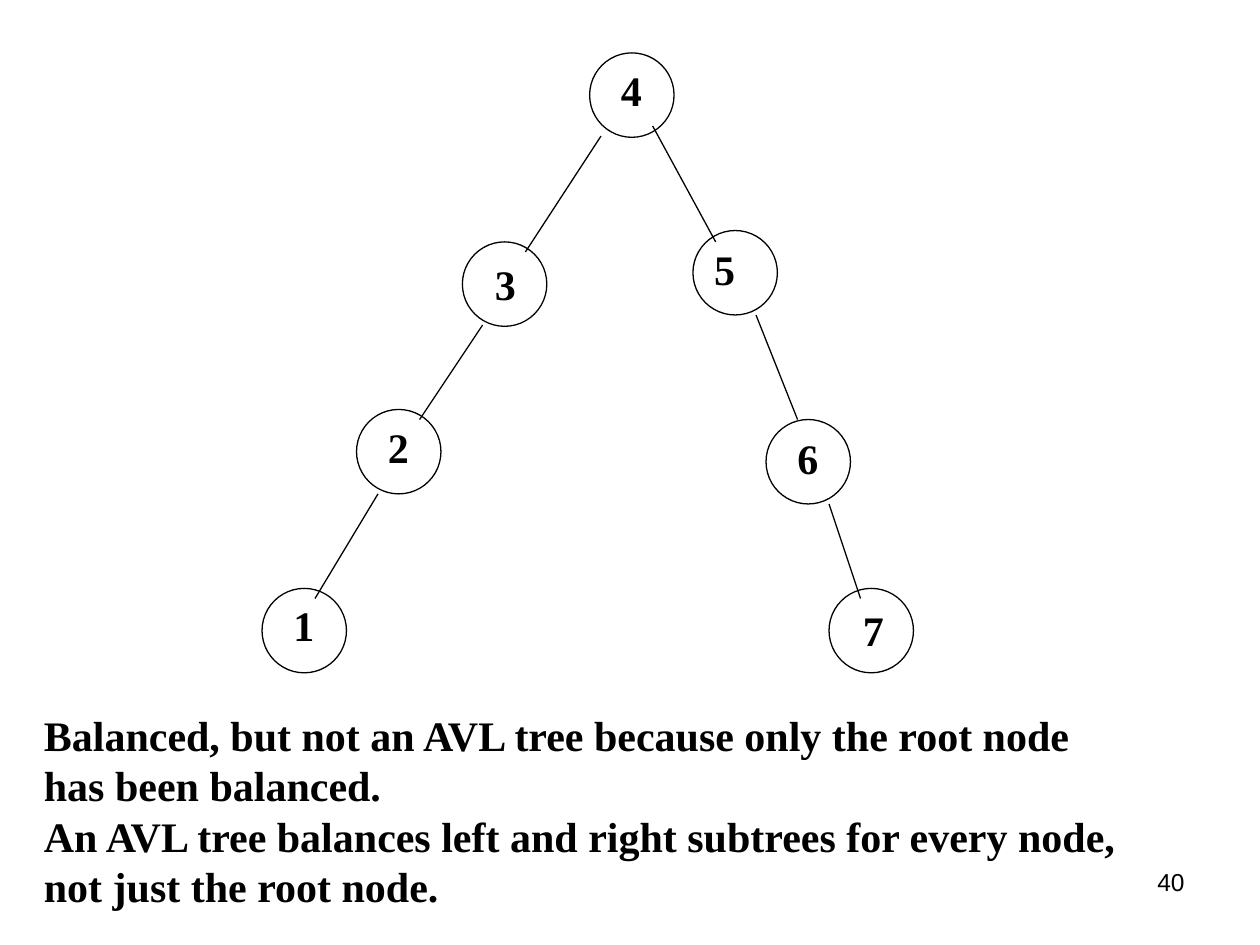
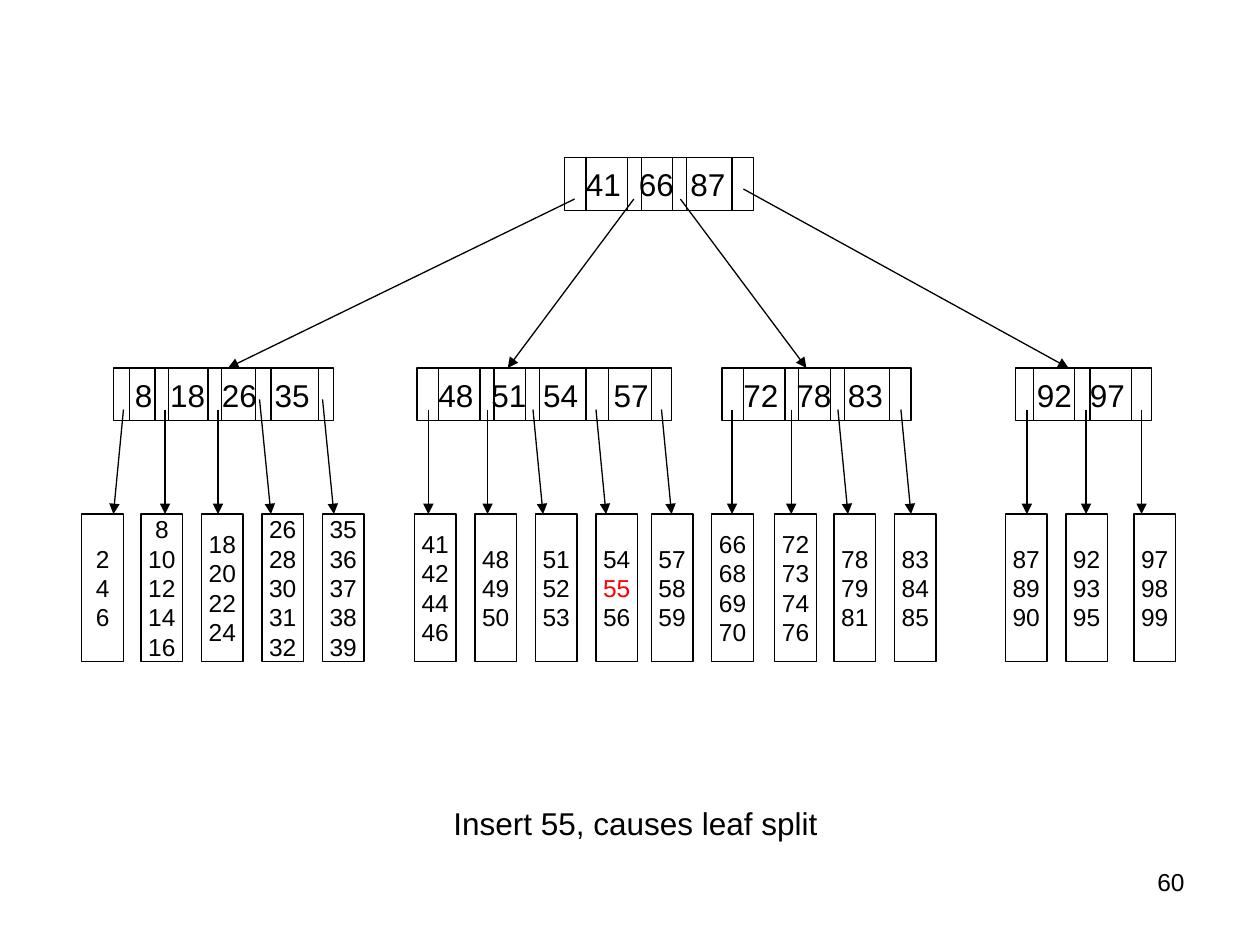
from dataclasses import dataclass

from lxml.etree import SubElement
from pptx import Presentation
from pptx.dml.color import RGBColor
from pptx.enum.shapes import MSO_CONNECTOR as CONNECTOR, MSO_SHAPE as SHAPE
from pptx.enum.text import MSO_ANCHOR as ANCHOR, MSO_AUTO_SIZE as AUTO_SIZE, PP_ALIGN as ALIGN
from pptx.oxml.ns import qn
from pptx.util import Inches, Pt

INK = "000000"
HIGHLIGHT = "FF0000"
SANS = "Arial"
SERIF = "Times New Roman"
LINE_WIDTH = Pt(0.75)

# AVL example: circle left and top, then label left and top, from the tree's corner
CIRCLE = 0.67
TREE_NODES = {
    "4": (2.6, 0, 2.75, 0.04),
    "3": (1.59, 1.5, 1.75, 1.58),
    "2": (0.75, 2.83, 0.9, 2.88),
    "1": (0, 4.25, 0.15, 4.29),
    "5": (3.42, 1.41, 3.49, 1.46),
    "6": (4, 2.91, 4.15, 2.96),
    "7": (4.5, 4.25, 4.67, 4.33),
}
TREE_EDGES = [
    (2.69, 0.66, 2.09, 1.58), (1.75, 2.16, 1.25, 2.91), (0.92, 3.5, 0.42, 4.33),
    (3.1, 0.58, 3.6, 1.5), (3.92, 2.08, 4.25, 2.91), (4.5, 3.58, 4.75, 4.33),
]
EXPLANATION = [
    "Balanced, but not an AVL tree because only the root node",
    "has been balanced.",
    "An AVL tree balances left and right subtrees for every node,",
    "not just the root node.",
]

# B+ tree: levels and sizes, measured from the tree's corner
NODE_HEIGHT = 0.42
INNER_TOP = 1.67
LEAF_TOP, LEAF_WIDTH, LEAF_HEIGHT = 2.83, 0.33, 1.17
KEY_INSET = 0.17
NEW_KEY = "55"


@dataclass
class IndexNode:
    """An index node; all offsets but left are measured from its left edge."""
    left: float
    width: float
    keys: str
    key_stops: list
    bars: list
    pointers: list  # start x, start y, end x
    leaves: list    # left in the tree, values


ROOT = IndexNode(
    3.83, 1.5, "41 66 87", [0.42, 0.83], [0.17, 0.5, 0.61, 0.86, 0.97, 1.33],
    [(0.08, 0.33, -2.67), (0.55, 0.33, -0.45), (0.92, 0.33, 1.92), (1.42, 0.25, 4)], [])
INNER_NODES = [
    IndexNode(
        0.25, 1.75, "8 18 26 35", [0.28, 0.69, 1.11],
        [0.13, 0.33, 0.44, 0.75, 0.86, 1.13, 1.25, 1.63],
        [(0.08, 0.33, 0), (0.41, 0.33, 0.41), (0.83, 0.33, 0.83),
         (1.16, 0.25, 1.25), (1.66, 0.25, 1.75)],
        [(0, "2 4 6"), (0.47, "8 10 12 14 16"), (0.95, "18 20 22 24"),
         (1.43, "26 28 30 31 32"), (1.91, "35 36 37 38 39")]),
    IndexNode(
        2.66, 2.02, "48 51 54 57", [0.42, 0.83, 1.39],
        [0.17, 0.5, 0.61, 0.86, 0.97, 1.34, 1.52, 1.86],
        [(0.09, 0.33, 0.09), (0.56, 0.33, 0.56), (0.92, 0.33, 1),
         (1.42, 0.33, 1.5), (1.94, 0.33, 2.02)],
        [(2.64, "41 42 44 46"), (3.12, "48 49 50"), (3.6, "51 52 53"),
         (4.08, "54 55 56"), (4.52, "57 58 59")]),
    IndexNode(
        5.08, 1.5, "72 78 83", ROOT.key_stops, ROOT.bars,
        [(0.08, 0.33, 0.08), (0.55, 0.33, 0.55), (0.92, 0.33, 1), (1.42, 0.33, 1.5)],
        [(5, "66 68 69 70"), (5.5, "72 73 74 76"), (5.97, "78 79 81"), (6.45, "83 84 85")]),
    IndexNode(
        7.41, 1.08, "92 97", [0.42], [0.14, 0.47, 0.59, 0.92],
        [(x, 0.33, x) for x in (0.09, 0.56, 1)],
        [(7.33, "87 89 90"), (7.81, "92 93 95"), (8.35, "97 98 99")]),
]


def color(hex_value):
    """Turn a hex string into a colour."""
    return RGBColor.from_string(hex_value)


def write(frame, lines, size, font=SANS, bold=False, align=ALIGN.LEFT):
    """Write one paragraph per line and format its runs."""
    frame.text = "\n".join(lines)
    for paragraph in frame.paragraphs:
        paragraph.alignment = align
        for run in paragraph.runs:
            run.font.size = Pt(size)
            run.font.name = font
            run.font.bold = bold
            run.font.color.rgb = color(INK)


def add_text(slide, left, top, width, height, lines, size, grow=True, **style):
    """Add a text box, either growing with its text or wrapping it."""
    frame = slide.shapes.add_textbox(
        Inches(left), Inches(top), Inches(width), Inches(height)).text_frame
    frame.word_wrap = not grow
    if grow:
        frame.auto_size = AUTO_SIZE.SHAPE_TO_FIT_TEXT
    write(frame, lines, size, **style)


def add_outline(slide, preset, left, top, width, height):
    """Add an unfilled shape with a thin outline."""
    outline = slide.shapes.add_shape(
        preset, Inches(left), Inches(top), Inches(width), Inches(height))
    outline.shadow.inherit = False
    outline.fill.background()
    outline.line.color.rgb = color(INK)
    outline.line.width = LINE_WIDTH
    return outline


def add_line(slide, x1, y1, x2, y2, arrow=False):
    """Add a thin straight line, with an arrowhead at its end if asked."""
    line = slide.shapes.add_connector(
        CONNECTOR.STRAIGHT, Inches(x1), Inches(y1), Inches(x2), Inches(y2))
    line.line.color.rgb = color(INK)
    line.line.width = LINE_WIDTH
    if arrow:
        SubElement(line.line._get_or_add_ln(), qn("a:tailEnd"), type="triangle")
    SubElement(line._element.spPr, qn("a:effectLst"))


def add_page_number(slide, number):
    """Place the page number at the lower right."""
    add_text(slide, 7.17, 6.83, 2.33, 0.52, [str(number)], 14,
             grow=False, align=ALIGN.RIGHT)


def draw_binary_tree(slide, left, top):
    """Draw the circles, labels and edges of the binary tree."""
    for x1, y1, x2, y2 in TREE_EDGES:
        add_line(slide, left + x1, top + y1, left + x2, top + y2)
    for key, (x, y, label_x, label_y) in TREE_NODES.items():
        add_outline(slide, SHAPE.OVAL, left + x, top + y, CIRCLE, CIRCLE)
        add_text(slide, left + label_x, top + label_y, 0.37, 0.5, [key], 24,
                 font=SERIF, bold=True)


def draw_index_node(slide, node, left, top, pointer_bottom):
    """Draw an index node with its keys, dividers and pointers."""
    box = add_outline(slide, SHAPE.RECTANGLE, left, top, node.width, NODE_HEIGHT)
    frame = box.text_frame
    frame.word_wrap = True
    frame.vertical_anchor = ANCHOR.MIDDLE
    frame.margin_left = Inches(KEY_INSET)
    frame.margin_right = 0
    write(frame, ["\t".join(node.keys.split())], 18)
    tabs = SubElement(frame.paragraphs[0]._p.get_or_add_pPr(), qn("a:tabLst"))
    for stop in node.key_stops:
        SubElement(tabs, qn("a:tab"), pos=str(Inches(stop)), algn="l")
    for bar in node.bars:
        add_line(slide, left + bar, top, left + bar, top + NODE_HEIGHT)
    for start_x, start_y, end_x in node.pointers:
        add_line(slide, left + start_x, top + start_y, left + end_x, pointer_bottom,
                 arrow=True)


def draw_leaf(slide, left, top, values):
    """Draw a leaf with its values stacked, the new key highlighted."""
    frame = add_outline(slide, SHAPE.RECTANGLE, left, top, LEAF_WIDTH, LEAF_HEIGHT).text_frame
    frame.word_wrap = False
    frame.vertical_anchor = ANCHOR.MIDDLE
    write(frame, values.split(), 14, align=ALIGN.CENTER)
    for paragraph in frame.paragraphs:
        if paragraph.text == NEW_KEY:
            paragraph.runs[0].font.color.rgb = color(HIGHLIGHT)


def draw_b_tree(slide, left, top):
    """Draw the root, the inner nodes and the leaves."""
    draw_index_node(slide, ROOT, left + ROOT.left, top, top + INNER_TOP)
    for node in INNER_NODES:
        draw_index_node(slide, node, left + node.left, top + INNER_TOP, top + LEAF_TOP)
        for leaf_left, values in node.leaves:
            draw_leaf(slide, left + leaf_left, top + LEAF_TOP, values)


def build_avl_slide(slide):
    """Show a tree balanced only at its root, with the explanation."""
    add_page_number(slide, 40)
    draw_binary_tree(slide, 2.08, 0.42)
    add_text(slide, 0.25, 5.58, 8.89, 1.7, EXPLANATION, 24, font=SERIF, bold=True)


def build_split_slide(slide):
    """Show the B+ tree after the leaf split, with its caption."""
    add_page_number(slide, 60)
    draw_b_tree(slide, 0.65, 1.25)
    add_text(slide, 3.5, 6.33, 3.09, 0.4, ["Insert 55, causes leaf split"], 18)


presentation = Presentation()
presentation.slide_width = Inches(10)
presentation.slide_height = Inches(7.5)
blank = presentation.slide_layouts[6]
for build in (build_avl_slide, build_split_slide):
    build(presentation.slides.add_slide(blank))
presentation.save("out.pptx")
